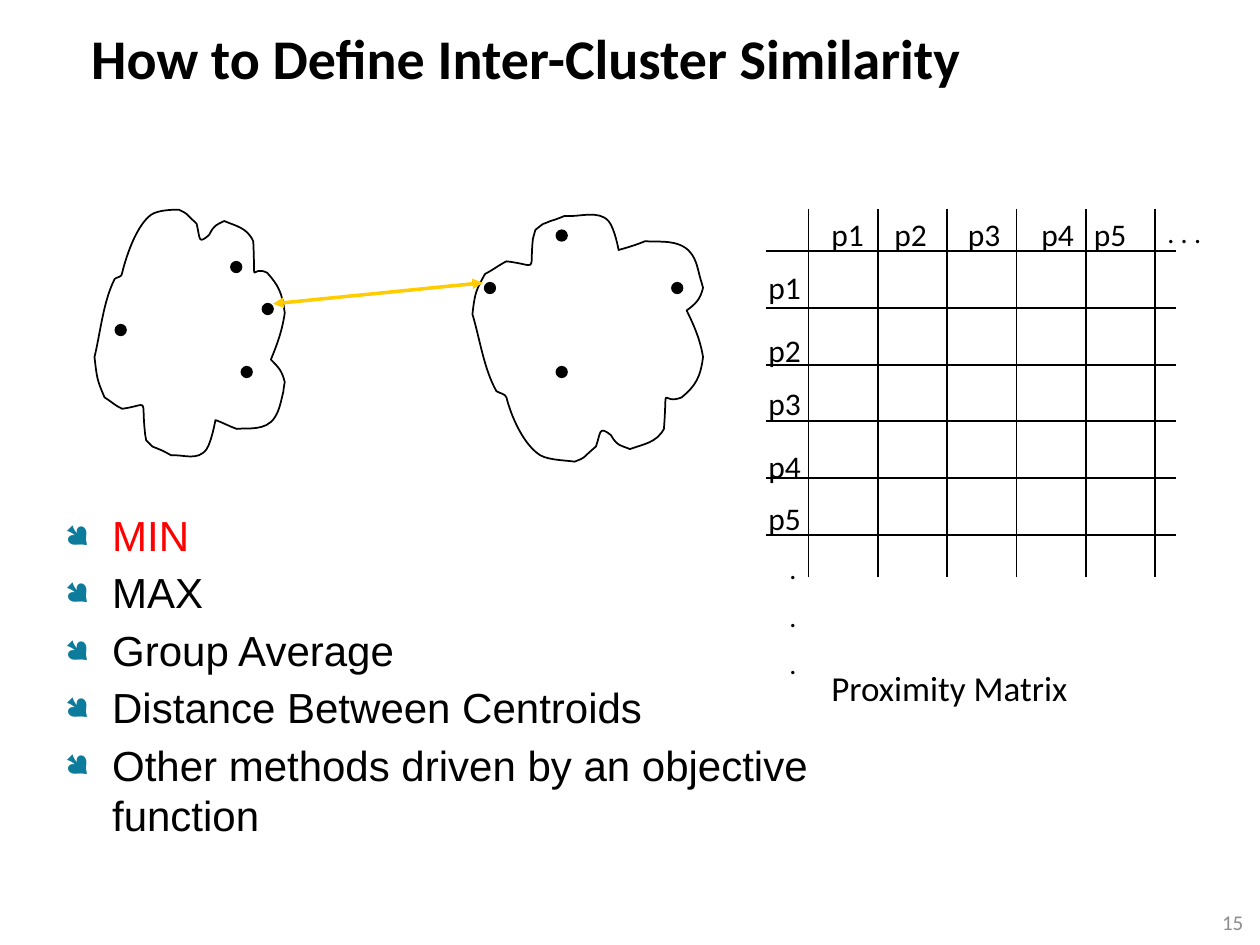
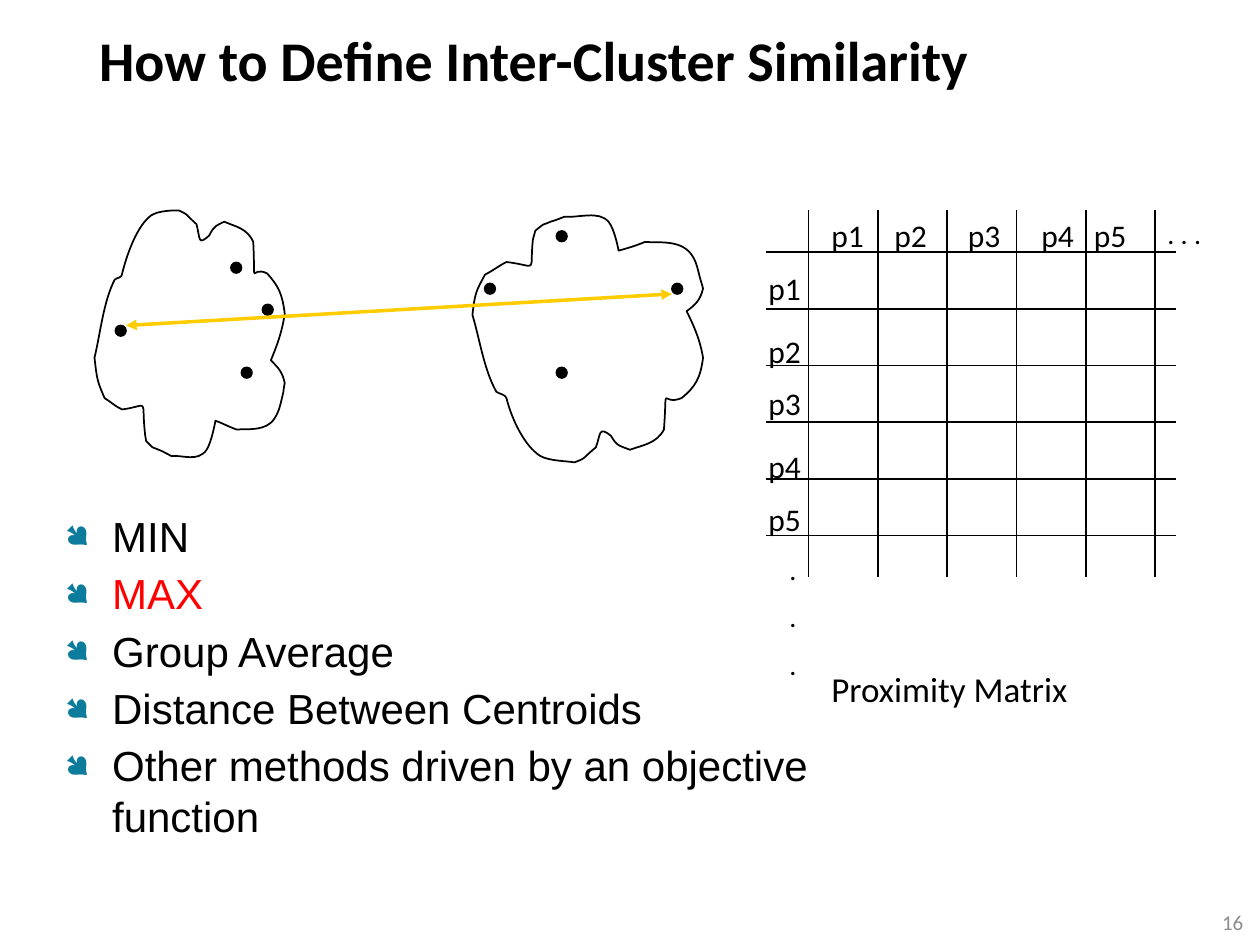
"""Build two slides that compare inter-cluster similarity measures."""
from dataclasses import dataclass

from lxml import etree
from pptx import Presentation
from pptx.dml.color import RGBColor
from pptx.enum.shapes import MSO_CONNECTOR, MSO_SHAPE
from pptx.enum.text import MSO_ANCHOR, PP_ALIGN
from pptx.oxml.ns import qn
from pptx.util import Pt

STRAIGHT, OVAL = MSO_CONNECTOR.STRAIGHT, MSO_SHAPE.OVAL
TOP, MIDDLE = MSO_ANCHOR.TOP, MSO_ANCHOR.MIDDLE
LEFT, RIGHT = PP_ALIGN.LEFT, PP_ALIGN.RIGHT

COLORS = {"ink": "000000", "active": "FF0000", "arrow": "FFCC00",
          "bullet": "0C7B9C", "number": "8C8C8C"}
TITLE = "How to Define Inter-Cluster Similarity"
METHODS = ["MIN", "MAX", "Group Average", "Distance Between Centroids",
           "Other methods driven by an objective function"]
POINTS = ["p1", "p2", "p3", "p4", "p5"]
COLUMN_X = [468, 504, 546, 588, 618]
ROW_Y = [150, 186, 216, 252, 282]
DOT = 6
OUTLINE_UNIT = Pt(0.72)


@dataclass(frozen=True)
class Cluster:
    """Outline as Bezier segments in outline units, and dot corners in points."""
    curves: tuple
    dots: tuple


@dataclass(frozen=True)
class Page:
    """What differs from slide to slide."""
    number: int
    title_box: tuple
    active: str
    arrow: tuple
    body_height: float
    dy: float


LEFT_CLUSTER = Cluster(
    curves=(
        (82, 240, 80, 263, 75, 284), (77, 301, 77, 302, 83, 316),
        (88, 319, 92, 323, 97, 325), (119, 322, 112, 315, 115, 343),
        (115, 346, 116, 348, 116, 350), (123, 357, 119, 354, 126, 357),
        (129, 358, 136, 362, 136, 362), (145, 361, 157, 367, 164, 357),
        (168, 351, 171, 334, 171, 334), (177, 336, 182, 339, 188, 341),
        (196, 340, 211, 343, 218, 332), (222, 326, 223, 319, 225, 311),
        (225, 309, 226, 304, 226, 304), (224, 295, 221, 292, 215, 286),
        (220, 274, 224, 263, 226, 249), (224, 233, 221, 227, 212, 217),
        (198, 210, 203, 232, 201, 192), (196, 181, 187, 180, 178, 176),
        (172, 179, 170, 179, 166, 187), (157, 195, 159, 190, 156, 178),
        (145, 168, 150, 171, 142, 167), (138, 167, 126, 167, 120, 171),
        (109, 179, 101, 201, 97, 217), (97, 221, 93, 220, 91, 222)),
    dots=((138, 210), (132, 150), (66, 186), (150, 174)))
RIGHT_CLUSTER = Cluster(
    curves=(
        (384, 293, 381, 270, 375, 250), (377, 232, 378, 231, 385, 218),
        (391, 215, 396, 211, 402, 208), (428, 211, 420, 218, 423, 190),
        (424, 188, 424, 185, 425, 183), (434, 176, 428, 180, 437, 176),
        (441, 175, 448, 172, 448, 172), (460, 173, 475, 167, 483, 176),
        (488, 182, 491, 199, 491, 199), (498, 197, 505, 195, 512, 192),
        (522, 193, 539, 190, 548, 201), (553, 207, 554, 215, 556, 222),
        (557, 225, 558, 229, 558, 229), (556, 238, 552, 242, 545, 247),
        (551, 259, 556, 271, 558, 284), (556, 300, 552, 307, 541, 316),
        (524, 323, 530, 301, 527, 341), (521, 352, 511, 353, 500, 357),
        (493, 354, 490, 355, 485, 346), (475, 338, 477, 344, 473, 355),
        (460, 366, 466, 363, 456, 367), (451, 366, 436, 366, 429, 362),
        (416, 354, 406, 332, 402, 316), (401, 313, 397, 313, 394, 311)),
    dots=((384, 162), (277, 162), (318, 210), (318, 132)))

PAGES = [
    Page(15, (45, 16.6, 620.6, 37.4), "MIN", (156, 174, 276, 162), 204, -0.4),
    Page(16, (49.5, 20.9, 620.6, 31), "MAX", (72, 186, 384, 168), 246, 0),
]


def rgb(name: str) -> RGBColor:
    """Look up a named colour."""
    return RGBColor.from_string(COLORS[name])


def add_text(shapes, lines: list, x: float, y: float, w: float, h: float, *,
             size: float, font: str = "Calibri", color: str = "ink",
             bold: bool = False, align=LEFT, anchor=TOP, spacing: float = 1,
             before: float = 0, after: float = 0):
    """Add a wrapped text box with one paragraph per line."""
    tf = shapes.add_textbox(Pt(x), Pt(y), Pt(w), Pt(h)).text_frame
    tf.word_wrap = True
    tf.vertical_anchor = anchor
    for i, line in enumerate(lines):
        p = tf.paragraphs[0] if i == 0 else tf.add_paragraph()
        p.alignment, p.line_spacing = align, spacing
        p.space_before, p.space_after = Pt(before), Pt(after)
        r = p.add_run()
        r.text = line
        r.font.name, r.font.size, r.font.bold = font, Pt(size), bold
        r.font.color.rgb = rgb(color)
    return tf


def add_bullet(p) -> None:
    """Give a paragraph a hanging round bullet."""
    pPr = p._p.get_or_add_pPr()
    pPr.set("marL", str(Pt(27)))
    pPr.set("indent", str(-Pt(27)))
    clr = etree.SubElement(pPr, qn("a:buClr"))
    etree.SubElement(clr, qn("a:srgbClr"), val=COLORS["bullet"])
    etree.SubElement(pPr, qn("a:buSzPct"), val="75000")
    etree.SubElement(pPr, qn("a:buFont"), typeface="Wingdings", charset="2")
    etree.SubElement(pPr, qn("a:buChar"), char="●")


def add_line(shapes, x1: float, y1: float, x2: float, y2: float, *,
             color: str = "ink", width: float = 1, arrows: bool = False) -> None:
    """Add a straight line, with arrowheads at both ends if asked."""
    cxn = shapes.add_connector(STRAIGHT, Pt(x1), Pt(y1), Pt(x2), Pt(y2))
    cxn.line.color.rgb = rgb(color)
    cxn.line.width = Pt(width)
    etree.SubElement(cxn._element.spPr, qn("a:effectLst"))
    if arrows:
        for end in ("a:headEnd", "a:tailEnd"):
            etree.SubElement(cxn.line._get_or_add_ln(), qn(end), type="triangle")


def style_outline(sp) -> None:
    """Set a thin dark outline without shadow."""
    sp.shadow.inherit = False
    sp.line.color.rgb = rgb("ink")
    sp.line.width = Pt(1)


def bend_segments(sp) -> None:
    """Turn each three straight segments of a freeform into one cubic curve."""
    segments = list(sp._element.iter(qn("a:lnTo")))
    for i in range(0, len(segments), 3):
        curve = etree.Element(qn("a:cubicBezTo"))
        segments[i].addprevious(curve)
        for segment in segments[i:i + 3]:
            curve.append(segment[0])
            segment.getparent().remove(segment)


def add_cluster(shapes, cluster: Cluster, dy: float) -> None:
    """Draw a cluster's outline and its dots."""
    vertices = [(curve[i] * OUTLINE_UNIT, curve[i + 1] * OUTLINE_UNIT + Pt(dy))
                for curve in cluster.curves for i in (0, 2, 4)]
    builder = shapes.build_freeform(*vertices[-1])
    builder.add_line_segments(vertices, close=True)
    blob = builder.convert_to_shape()
    bend_segments(blob)
    blob.fill.background()
    style_outline(blob)
    for left, top in cluster.dots:
        sp = shapes.add_shape(OVAL, Pt(left), Pt(top + dy), Pt(DOT), Pt(DOT))
        sp.fill.solid()
        sp.fill.fore_color.rgb = rgb("ink")
        style_outline(sp)


def add_matrix(shapes, dy: float) -> None:
    """Draw the open proximity grid with its row and column labels."""
    for i in range(6):
        x, y = 462 + 39.6 * i, 144 + 32.4 * i + dy
        add_line(shapes, x, 120 + dy, x, 330)
        add_line(shapes, 438, y, 672, y)
    for label, x, y in zip(POINTS, COLUMN_X, ROW_Y):
        add_text(shapes, [label], x, 120 + dy, 42, 24, size=18)
        add_text(shapes, [label], 432, y + dy, 42, 24, size=18)
    add_text(shapes, [". . ."], 660, 120 + dy, 42, 26.6, size=16)
    add_text(shapes, ["."] * 3, 444, 312 + dy, 42, 84, size=16, after=8)


def add_page(prs, page: Page) -> None:
    """Add one slide."""
    shapes = prs.slides.add_slide(prs.slide_layouts[6]).shapes
    dy = page.dy
    add_text(shapes, [TITLE], *page.title_box, size=32, bold=True,
             anchor=MIDDLE, spacing=0.9)
    add_matrix(shapes.add_group_shape().shapes, dy)
    for cluster in (LEFT_CLUSTER, RIGHT_CLUSTER):
        add_cluster(shapes, cluster, dy)
    x1, y1, x2, y2 = page.arrow
    add_line(shapes, x1, y1 + dy, x2, y2 + dy, color="arrow", width=2, arrows=True)
    add_text(shapes, ["Proximity Matrix"], 468, 378 + dy, 198, 31, size=20)
    tf = add_text(shapes, METHODS, 30, 288 + dy, 456, page.body_height,
                  size=24, font="Arial", before=2, after=2)
    for p in tf.paragraphs:
        add_bullet(p)
        if p.text == page.active:
            p.runs[0].font.color.rgb = rgb("active")
    add_text(shapes, [str(page.number)], 555.5, 518.8, 162, 16.5, size=12,
             color="number", align=RIGHT, anchor=MIDDLE)


def main() -> None:
    """Build and save the presentation."""
    prs = Presentation()
    prs.slide_width, prs.slide_height = Pt(720), Pt(540)
    for page in PAGES:
        add_page(prs, page)
    prs.save("out.pptx")


if __name__ == "__main__":
    main()
